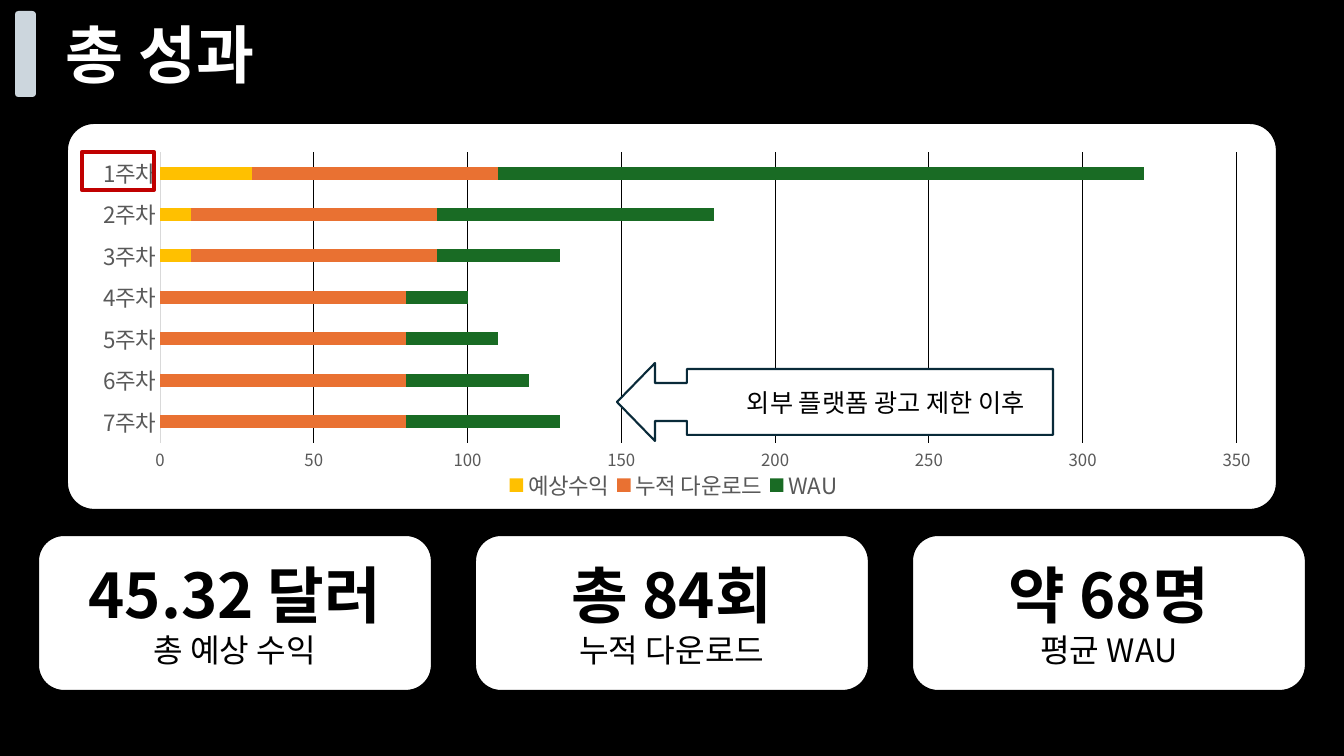
from lxml import etree
from pptx import Presentation
from pptx.chart.data import CategoryChartData
from pptx.dml.color import RGBColor
from pptx.enum.chart import XL_CHART_TYPE, XL_LEGEND_POSITION, XL_TICK_MARK
from pptx.enum.shapes import MSO_SHAPE
from pptx.enum.text import MSO_ANCHOR, PP_ALIGN
from pptx.oxml import parse_xml
from pptx.oxml.ns import nsdecls, qn
from pptx.util import Pt

PX = 914400 / 100.8
FONT = "Noto Sans CJK KR"
BLACK = RGBColor(0x00, 0x00, 0x00)
WHITE = RGBColor(0xFF, 0xFF, 0xFF)
MIST = RGBColor(0xCC, 0xD6, 0xDD)
GRAY = RGBColor(0x59, 0x59, 0x59)
PALE = RGBColor(0xD9, 0xD9, 0xD9)
NAVY = RGBColor(0x09, 0x2A, 0x39)
RED = RGBColor(0xC0, 0x00, 0x00)
GOLD = RGBColor(0xFF, 0xC0, 0x00)
ORANGE = RGBColor(0xE9, 0x71, 0x32)
GREEN = RGBColor(0x19, 0x6B, 0x24)
RECT, ROUND = MSO_SHAPE.RECTANGLE, MSO_SHAPE.ROUNDED_RECTANGLE
LEFT, CENTER = PP_ALIGN.LEFT, PP_ALIGN.CENTER
MIDDLE = MSO_ANCHOR.MIDDLE
STACKED = XL_CHART_TYPE.BAR_STACKED
BOTTOM = XL_LEGEND_POSITION.BOTTOM
NO_TICK = XL_TICK_MARK.NONE

WEEKS = [f"{n}주차" for n in range(7, 0, -1)]
SERIES = [
    ("예상수익", GOLD, (0, 0, 0, 0, 10, 10, 30)),
    ("누적 다운로드", ORANGE, (80,) * 7),
    ("WAU", GREEN, (50, 40, 30, 20, 40, 90, 210)),
]
CARDS = [
    ("45.32 달러", "총 예상 수익"),
    ("총 84회", "누적 다운로드"),
    ("약 68명", "평균 WAU"),
]


def px(*nums):
    return [round(n * PX) for n in nums]


def paint(shape, fill, line=None, width=1.5):
    shape.shadow.inherit = False
    if fill is None:
        shape.fill.background()
    else:
        shape.fill.solid()
        shape.fill.fore_color.rgb = fill
    if line is None:
        shape.line.fill.background()
    else:
        shape.line.color.rgb = line
        shape.line.width = Pt(width)


def add_box(slide, kind, box, fill, line=None, width=1.5):
    shape = slide.shapes.add_shape(kind, *px(*box))
    paint(shape, fill, line, width)
    return shape


def style(font, size, color):
    font.size = Pt(size)
    font.name = FONT
    font.color.rgb = color


def set_east(root, tag):
    # Hangul takes its typeface from a:ea; pair kerning is off
    for props in root.iter(qn(tag)):
        latin = props.find(qn("a:latin"))
        if latin is not None:
            props.set("kern", "0")
            east = etree.Element(qn("a:ea"), typeface=FONT)
            latin.addnext(east)


def write(shape, lines, align, color):
    frame = shape.text_frame
    frame.word_wrap = True
    frame.text = "\n".join(text for text, _, _ in lines)
    for para, (_, size, bold) in zip(frame.paragraphs, lines):
        para.alignment = align
        for run in para.runs:
            style(run.font, size, color)
            run.font.bold = bold
    set_east(frame._txBody, "a:rPr")
    return frame


def place(part, x, y, w, h, target=""):
    # Fixed layout of a chart part, in shares of the chart
    old = part.find(qn("c:layout"))
    if old is not None:
        part.remove(old)
    layout = parse_xml(
        f'<c:layout {nsdecls("c")}><c:manualLayout>{target}'
        '<c:xMode val="edge"/><c:yMode val="edge"/>'
        f'<c:x val="{x}"/><c:y val="{y}"/>'
        f'<c:w val="{w}"/><c:h val="{h}"/>'
        '</c:manualLayout></c:layout>')
    spot = part.find(qn("c:legendPos"))
    if spot is None:
        part.insert(0, layout)
    else:
        spot.addnext(layout)


def add_title(slide, x, y, w, h):
    label = slide.shapes.add_textbox(*px(x + 22, y, w - 22, h))
    frame = write(label, [("총 성과", 45, True)], LEFT, WHITE)
    frame.margin_left = px(29)[0]
    add_box(slide, ROUND, (x, y, 21, h), MIST)


def add_chart(slide, x, y, w, h):
    data = CategoryChartData()
    data.categories = WEEKS
    for name, _, vals in SERIES:
        data.add_series(name, vals)
    chart = slide.shapes.add_chart(STACKED, *px(x, y, w, h), data).chart
    style(chart.font, 10, BLACK)
    chart.has_title = False

    # Bars
    plot = chart.plots[0]
    plot.gap_width, plot.overlap = 219, 100
    plot.vary_by_categories = False
    for bars, (_, color, _) in zip(plot.series, SERIES):
        bars.format.fill.solid()
        bars.format.fill.fore_color.rgb = color

    # Axes
    cats, vals = chart.category_axis, chart.value_axis
    for axis, size in ((cats, 16), (vals, 12)):
        axis.major_tick_mark = axis.minor_tick_mark = NO_TICK
        style(axis.tick_labels.font, size, GRAY)
    cats.format.line.color.rgb = PALE
    cats.format.line.width = Pt(0.75)
    vals.format.line.fill.background()
    vals.minimum_scale, vals.maximum_scale, vals.major_unit = 0, 350, 50
    vals.has_major_gridlines = True
    grid = vals.major_gridlines.format.line
    grid.color.rgb = BLACK
    grid.width = Pt(0.75)

    # Legend
    chart.has_legend = True
    chart.legend.position = BOTTOM
    chart.legend.include_in_layout = False
    style(chart.legend.font, 16, GRAY)

    root = chart._chartSpace
    place(root.find(".//" + qn("c:plotArea")), 0.066, 0.076, 0.91, 0.75,
          '<c:layoutTarget val="inner"/>')
    place(root.find(".//" + qn("c:legend")), 0.355, 0.895, 0.29, 0.08)
    set_east(root, "a:defRPr")


def add_panel(slide, x, y, w, h):
    panel = add_box(slide, ROUND, (x, y, w, h), WHITE, BLACK)
    panel.adjustments[0] = 0.07
    add_chart(slide, x + 15, y, w - 27, h)


def add_note(slide, x, y, w, h):
    # Arrow callout: upper half, mirrored about the middle
    mid, neck, head, body = h / 2, 19, 38, 70
    top = [(head, 0), (head, mid - neck), (body, mid - neck),
           (body, 6), (w, 6)]
    low = [(a, h - b) for a, b in reversed(top)]
    dots = [(x + a, y + b) for a, b in top + low + [(0, mid)]]
    build = slide.shapes.build_freeform(*dots[0], scale=PX)
    build.add_line_segments(dots[1:], close=True)
    arrow = build.convert_to_shape()
    paint(arrow, WHITE, NAVY)
    frame = write(arrow, [("외부 플랫폼 광고 제한 이후", 18, False)], LEFT, BLACK)
    frame.vertical_anchor = MIDDLE
    frame.margin_left = px(130)[0]
    frame.margin_right = 0


def add_cards(slide, x, y, w, h):
    wide = 394
    step = (w - wide) / (len(CARDS) - 1)
    for i, (value, label) in enumerate(CARDS):
        card = add_box(slide, ROUND, (x + i * step, y, wide, h), WHITE, BLACK)
        lines = [(value, 44, True), (label, 23, False)]
        write(card, lines, CENTER, BLACK).vertical_anchor = MIDDLE


def main():
    deck = Presentation()
    deck.slide_width, deck.slide_height = px(1344, 756)
    slide = deck.slides.add_slide(deck.slide_layouts[6])
    slide.background.fill.solid()
    slide.background.fill.fore_color.rgb = BLACK
    add_title(slide, 15, 11, 518, 86)
    add_panel(slide, 67, 123, 1210, 387)
    add_cards(slide, 38, 535, 1268, 156)
    add_note(slide, 617, 363, 436, 78)
    add_box(slide, RECT, (82, 152, 72, 38), None, RED, 3)
    deck.save("out.pptx")


if __name__ == "__main__":
    main()
